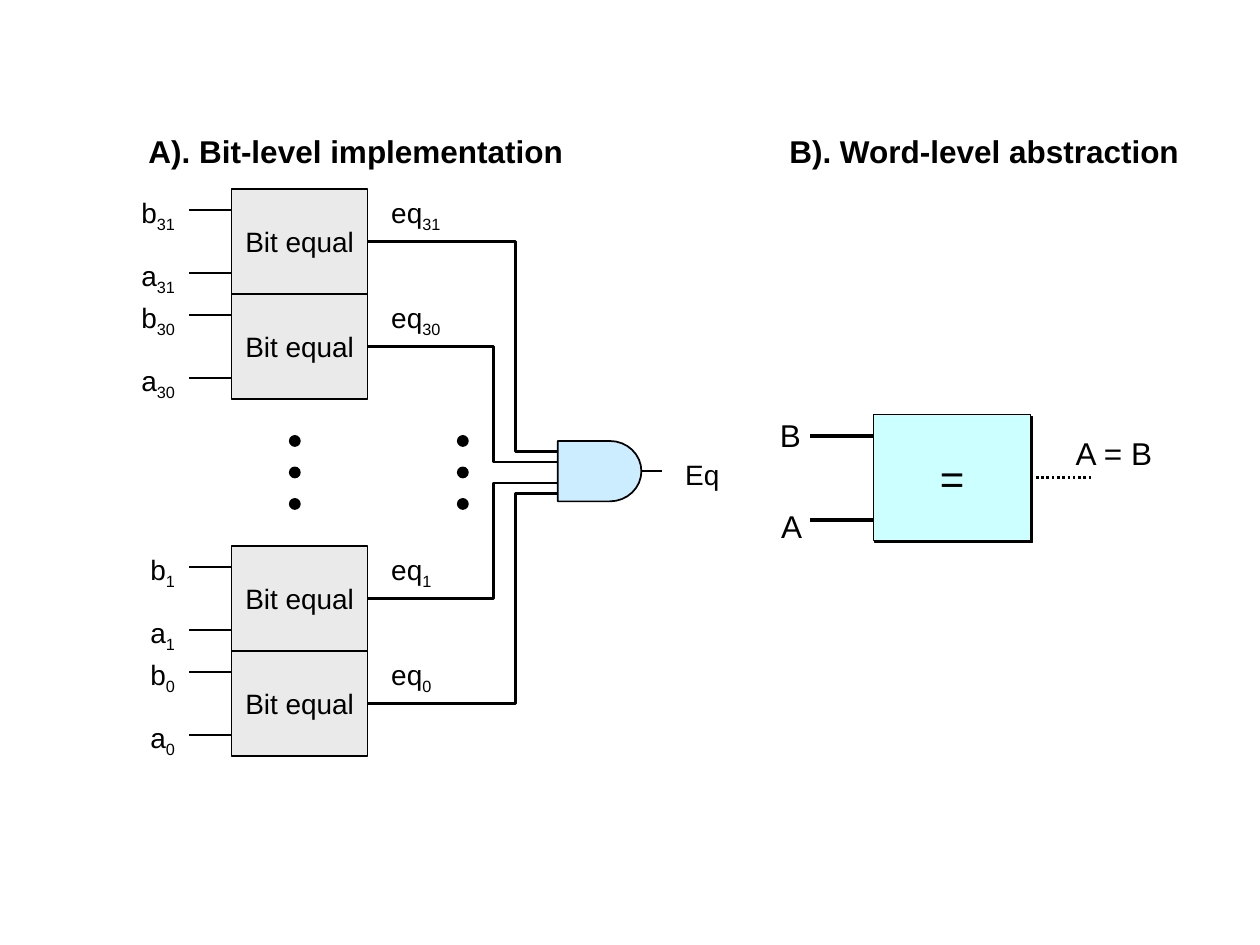
import math
from dataclasses import dataclass

from lxml import etree
from pptx import Presentation
from pptx.dml.color import RGBColor
from pptx.enum import dml, shapes, text
from pptx.oxml import ns
from pptx.util import Pt

BLACK = RGBColor(0x00, 0x00, 0x00)
GREY = RGBColor(0xEA, 0xEA, 0xEA)
GATE_BLUE = RGBColor(0xCC, 0xEC, 0xFF)
CYAN = RGBColor(0xCC, 0xFF, 0xFF)
LEFT, CENTER, RIGHT = text.PP_ALIGN.LEFT, text.PP_ALIGN.CENTER, text.PP_ALIGN.RIGHT

BOX_LEFT, BOX_WIDTH, BOX_HEIGHT = 132.5, 77.5, 60
BOX_RIGHT = BOX_LEFT + BOX_WIDTH
INPUT_LABEL_RIGHT, LABEL_WIDTH = 107, 47.5
OUTER_BEND, INNER_BEND = 294.5, 282
GATE_LEFT, GATE_MIDDLE = 318.75, 269.25


@dataclass(frozen=True)
class Span:
    text: str
    subscript: bool = False
    font: str = "Arial"


@dataclass(frozen=True)
class BitCell:
    index: str
    top: float
    bend: float
    gate_y: float


BIT_CELLS = (
    BitCell("31", 108, OUTER_BEND, 258),
    BitCell("30", 168, INNER_BEND, 264),
    BitCell("1", 312, INNER_BEND, 276),
    BitCell("0", 372, OUTER_BEND, 282),
)


def write_text(frame, *spans: Span, size: float = 16, bold: bool = False,
               align=LEFT, wrap: bool = False) -> None:
    frame.word_wrap = wrap
    para = frame.paragraphs[0]
    para.alignment = align
    for span in spans:
        run = para.add_run()
        run.text = span.text
        run.font.name = span.font
        run.font.size = Pt(size)
        run.font.bold = bold
        run.font.color.rgb = BLACK
        if span.subscript:
            run._r.get_or_add_rPr().set("baseline", "-25000")


def add_label(page, left: float, top: float, width: float, height: float,
              *spans: Span, **style) -> None:
    box = page.shapes.add_textbox(Pt(left), Pt(top), Pt(width), Pt(height))
    write_text(box.text_frame, *spans, **style)
    box.text_frame.auto_size = text.MSO_AUTO_SIZE.SHAPE_TO_FIT_TEXT


def add_filled(page, kind, left: float, top: float, width: float, height: float,
               fill: RGBColor):
    box = page.shapes.add_shape(kind, Pt(left), Pt(top), Pt(width), Pt(height))
    box.shadow.inherit = False
    box.fill.solid()
    box.fill.fore_color.rgb = fill
    box.line.color.rgb = BLACK
    box.line.width = Pt(0.75)
    return box


def add_line(page, x1: float, x2: float, y: float, weight: float = 1.5):
    line = page.shapes.add_connector(
        shapes.MSO_CONNECTOR.STRAIGHT, Pt(x1), Pt(y), Pt(x2), Pt(y))
    line.line.color.rgb = BLACK
    line.line.width = Pt(weight)
    etree.SubElement(line._element.spPr, ns.qn("a:effectLst"))
    return line


def add_outline(page, points: list, weight: float, close: bool = False):
    corners = [(Pt(x), Pt(y)) for x, y in points]
    builder = page.shapes.build_freeform(*corners[0])
    builder.add_line_segments(corners[1:], close=close)
    outline = builder.convert_to_shape()
    outline.shadow.inherit = False
    outline.fill.background()
    outline.line.color.rgb = BLACK
    outline.line.width = Pt(weight)
    return outline


def add_bit_cell(page, cell: BitCell) -> None:
    middle = cell.top + BOX_HEIGHT / 2
    index = Span(cell.index, subscript=True)
    box = add_filled(page, shapes.MSO_SHAPE.RECTANGLE, BOX_LEFT, cell.top,
                     BOX_WIDTH, BOX_HEIGHT, GREY)
    write_text(box.text_frame, Span("Bit equal"), align=CENTER)

    for name, offset in (("b", 0), ("a", 36)):
        add_line(page, 108, BOX_LEFT, cell.top + offset + 12)
        add_label(page, INPUT_LABEL_RIGHT - LABEL_WIDTH, cell.top + offset,
                  LABEL_WIDTH, 29.5, Span(name), index, align=RIGHT, wrap=True)

    add_label(page, 216.5, cell.top, LABEL_WIDTH, 29.5, Span("eq"), index, wrap=True)
    add_outline(page, [(BOX_RIGHT, middle), (cell.bend, middle),
                       (cell.bend, cell.gate_y), (GATE_LEFT, cell.gate_y)], 1.5)


def add_and_gate(page) -> None:
    arc_x, radius_x, radius_y, steps = 348.5, 18, 17.25, 16
    angles = [math.pi * (step / steps - 0.5) for step in range(steps + 1)]
    arc = [(arc_x + radius_x * math.cos(angle), GATE_MIDDLE + radius_y * math.sin(angle))
           for angle in angles]
    corners = [(GATE_LEFT, GATE_MIDDLE + radius_y), (GATE_LEFT, GATE_MIDDLE - radius_y)]
    add_line(page, arc_x + radius_x, 378, GATE_MIDDLE)
    gate = add_outline(page, arc + corners, 1, close=True)
    gate.fill.solid()
    gate.fill.fore_color.rgb = GATE_BLUE
    add_label(page, 384.5, 258, LABEL_WIDTH, 26.5, Span("Eq"), wrap=True)


def add_hard_shadow(box) -> None:
    effects = box._element.spPr.find(ns.qn("a:effectLst"))
    shadow = etree.SubElement(effects, ns.qn("a:outerShdw"), dist=str(Pt(1.4)),
                              dir="2700000", algn="ctr", rotWithShape="0")
    etree.SubElement(shadow, ns.qn("a:srgbClr"), val=str(BLACK))


def add_word_comparator(page) -> None:
    left, top, width, height = 499, 237, 90, 72
    box = add_filled(page, shapes.MSO_SHAPE.RECTANGLE, left, top, width, height, CYAN)
    add_hard_shadow(box)
    write_text(box.text_frame, Span("="), size=24, align=CENTER)
    for y in (249, 297):
        add_line(page, left - 36, left, y, 2.25)
    output = add_line(page, left + width, left + width + 36, top + height / 2)
    output.line.dash_style = dml.MSO_LINE.ROUND_DOT
    add_label(page, 438.5, 234, 26, 29, Span("B"), size=18)
    add_label(page, 439.25, 286, 26, 29, Span("A"), size=18)
    add_label(page, 607.5, 244.25, 59, 29, Span("A "), Span("=", font="Courier New"),
              Span(" B"), size=18)


def main() -> None:
    deck = Presentation()
    deck.slide_width, deck.slide_height = Pt(720), Pt(540)
    page = deck.slides.add_slide(deck.slide_layouts[6])

    # Panel headings
    add_label(page, 77.75, 72, 251.5, 29, Span("A). Bit-level implementation"),
              size=18, bold=True)
    add_label(page, 444, 72, 237.5, 29, Span("B). Word-level abstraction"),
              size=18, bold=True)

    # Bit-level circuit
    for cell in BIT_CELLS:
        add_bit_cell(page, cell)
    add_and_gate(page)

    # Dots for the omitted bits
    for left in (165.5, 261.5):
        for row in range(3):
            add_filled(page, shapes.MSO_SHAPE.OVAL, left, 249 + 18 * row, 6, 6, BLACK)

    # Word-level symbol
    add_word_comparator(page)
    deck.save("out.pptx")


if __name__ == "__main__":
    main()
